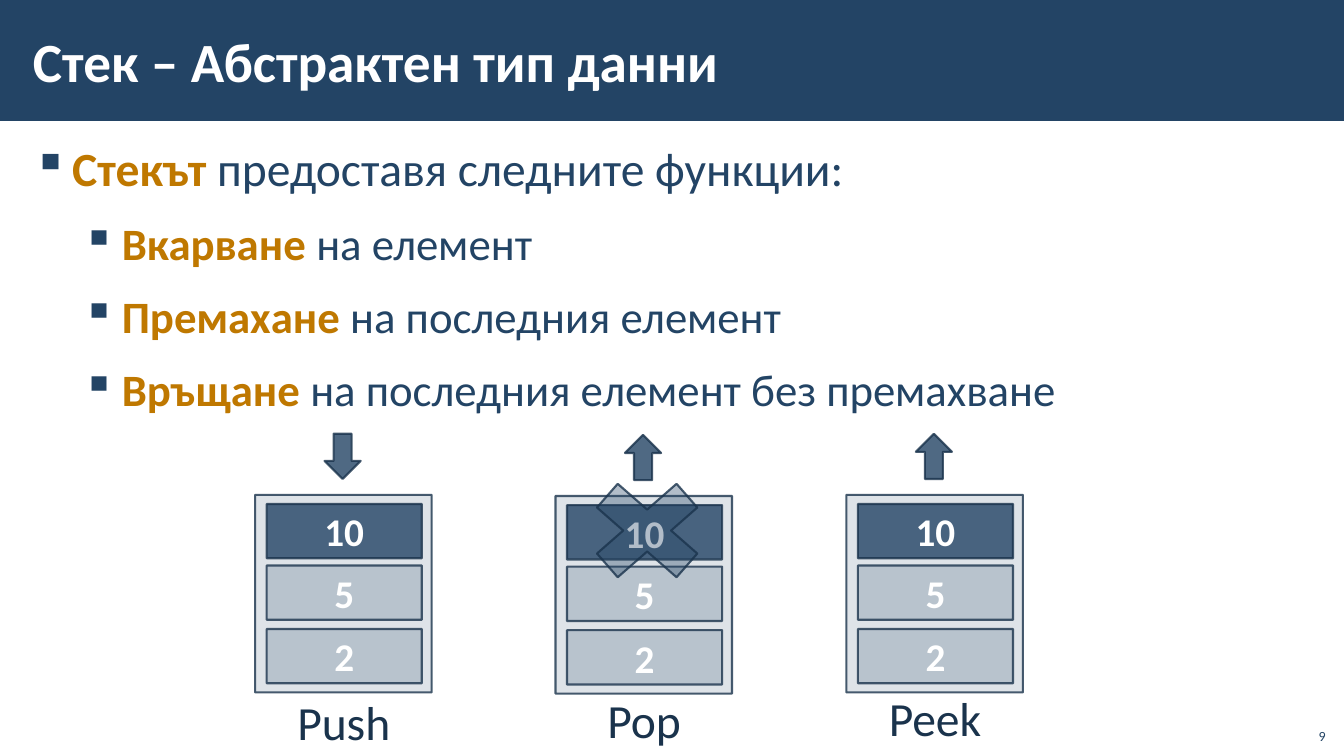
from pptx import Presentation
from pptx.dml.color import RGBColor
from pptx.enum.shapes import MSO_SHAPE
from pptx.enum.text import MSO_ANCHOR, MSO_AUTO_SIZE, PP_ALIGN
from pptx.oxml.ns import qn
from pptx.util import Cm, Pt
from lxml.etree import SubElement

FONT = "Calibri"
COLORS = {"navy": "234465", "dark": "1A334C", "gold": "BF7800", "white": "FFFFFF"}
TITLE = "Стек – Абстрактен тип данни"
PAGE = "9"
# level, key word, rest of the line
POINTS = [
    (0, "Стекът ", "предоставя следните функции:"),
    (1, "Вкарване ", "на елемент"),
    (1, "Премахане ", "на последния елемент"),
    (1, "Връщане ", "на последния елемент без премахване"),
]
SIZES = [34, 32]
INDENTS = [0.99, 2.24]
HANG = 0.99
# value, opacity, distance below the top of the frame
CELLS = [("10", 80, 0.23), ("5", 20, 1.78), ("2", 20, 3.38)]
# label, left, top, label top, arrow turn, crossed out
STACKS = [
    ("Push", 6.43, 12.47, 17.3, 0, False),
    ("Pop", 14, 12.5, 17.25, 180, True),
    ("Peek", 21.33, 12.47, 17.2, 180, False),
]
FRAME = (4.45, 4.98)
CELL = (3.91, 1.37)
ARROW = (0.91, 1.14)
CROSS = (3.86, 3.38)


def color(name):
    return RGBColor.from_string(COLORS[name])


def add_run(para, text, size, tint, bold=False):
    run = para.add_run()
    run.text = text
    font = run.font
    font.name, font.size, font.bold = FONT, Pt(size), bold
    font.color.rgb = color(tint)


def set_frame(shape, anchor, side=0.3, edge=0.1):
    frame = shape.text_frame
    frame.word_wrap = True
    frame.auto_size = MSO_AUTO_SIZE.NONE
    frame.vertical_anchor = anchor
    frame.margin_left = frame.margin_right = Cm(side)
    frame.margin_top = frame.margin_bottom = Cm(edge)
    return frame.paragraphs[0]


def set_space(para):
    para.line_spacing = 1.05
    para.space_before = para.space_after = Pt(6)


def add_form(shapes, kind, left, top, size, alpha):
    """Add a navy shape with see-through fill and dark outline."""
    form = shapes.add_shape(kind, Cm(left), Cm(top), *map(Cm, size))
    form.shadow.inherit = False
    form.fill.solid()
    form.fill.fore_color.rgb = color("navy")
    form.line.color.rgb = color("dark")
    form.line.width = Pt(1.5)
    tints = form._element.spPr.iter(qn("a:srgbClr"))
    for tint, part in zip(tints, (alpha, 80)):
        SubElement(tint, qn("a:alpha")).set("val", str(part * 1000))
    return form


def add_stack(slide, label, left, top, base, turn, crossed):
    shapes = slide.shapes.add_group_shape().shapes
    add_form(shapes, MSO_SHAPE.RECTANGLE, left, top, FRAME, 15)
    for value, alpha, drop in CELLS:
        cell = add_form(shapes, MSO_SHAPE.RECTANGLE, left + 0.29, top + drop, CELL, alpha)
        para = set_frame(cell, MSO_ANCHOR.MIDDLE, 0.25, 0.13)
        para.alignment = PP_ALIGN.CENTER
        add_run(para, value, 28, "white", True)
    arrow = add_form(shapes, MSO_SHAPE.DOWN_ARROW, left + 1.75, top - 1.54, ARROW, 80)
    arrow.rotation = turn
    if crossed:
        add_form(shapes, MSO_SHAPE.MATH_MULTIPLY, left + 0.38, top - 0.82, CROSS, 35)
    box = shapes.add_textbox(Cm(left + 0.43), Cm(base), Cm(3.61), Cm(1.78))
    para = set_frame(box, MSO_ANCHOR.TOP)
    para.alignment = PP_ALIGN.CENTER
    set_space(para)
    add_run(para, label, 34, "dark")


def add_title(slide):
    title = slide.shapes.title
    title.left, title.top, title.width, title.height = map(Cm, (0.53, 0.28, 28.52, 2.46))
    para = set_frame(title, MSO_ANCHOR.MIDDLE)
    para.alignment = PP_ALIGN.LEFT
    add_run(para, TITLE, 39.5, "white", True)
    bar = slide.shapes.add_shape(MSO_SHAPE.RECTANGLE, 0, 0, Cm(33.87), Cm(3.05))
    bar.shadow.inherit = False
    bar.fill.solid()
    bar.fill.fore_color.rgb = color("navy")
    bar.line.fill.background()
    title._element.addprevious(bar._element)


def add_points(slide):
    box = slide.shapes.add_textbox(*map(Cm, (0.53, 3.33, 32.82, 15.37)))
    para = set_frame(box, MSO_ANCHOR.TOP)
    for level, key, rest in POINTS:
        if para.runs:
            para = box.text_frame.add_paragraph()
        para.level = level
        set_space(para)
        props = para._p.get_or_add_pPr()
        props.set("marL", str(Cm(INDENTS[level])))
        props.set("indent", str(-Cm(HANG)))
        tint = SubElement(props, qn("a:buClr"))
        SubElement(tint, qn("a:srgbClr")).set("val", COLORS["navy"])
        SubElement(props, qn("a:buChar")).set("char", "▪")
        add_run(para, key, SIZES[level], "gold", True)
        add_run(para, rest, SIZES[level], "navy")


def add_page(slide):
    box = slide.shapes.add_textbox(*map(Cm, (32.64, 18.08, 1.02, 0.81)))
    para = set_frame(box, MSO_ANCHOR.BOTTOM, 0.25, 0.13)
    para.alignment = PP_ALIGN.RIGHT
    add_run(para, PAGE, 10, "navy")


def main():
    deck = Presentation()
    deck.slide_width, deck.slide_height = Cm(33.87), Cm(19.05)
    slide = deck.slides.add_slide(deck.slide_layouts[5])
    add_title(slide)
    add_points(slide)
    for stack in STACKS:
        add_stack(slide, *stack)
    add_page(slide)
    deck.save("out.pptx")


if __name__ == "__main__":
    main()
